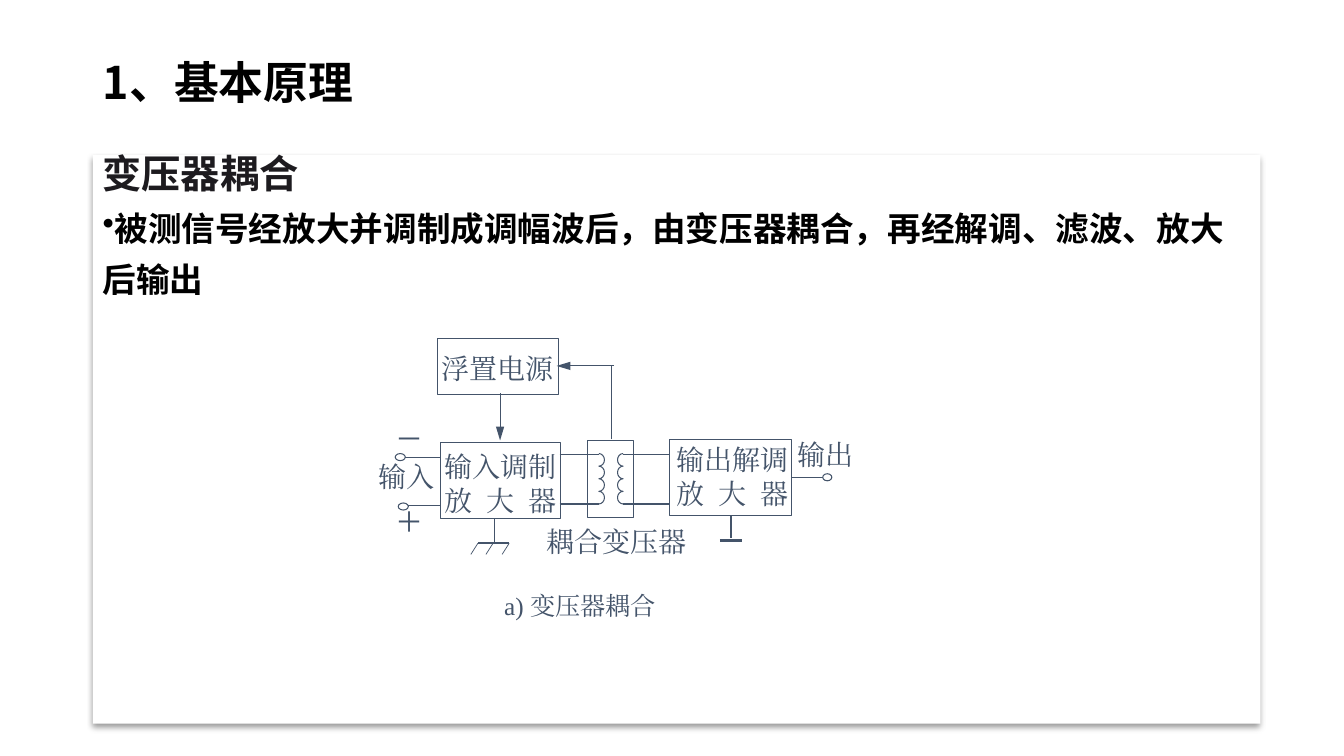
import math
from dataclasses import dataclass

from lxml import etree
from pptx import Presentation
from pptx import util as u
from pptx.dml.color import RGBColor
from pptx.enum import shapes, text
from pptx.oxml import ns

PX = 9144  # EMU in one px, 100 px to the inch


@dataclass(frozen=True)
class Theme:
    black: str = "000000"
    heading: str = "1D1B1F"
    diagram: str = "44546A"
    panel: str = "FFFFFF"
    sans: str = "Noto Sans CJK SC"
    serif: str = "Times New Roman"
    title_size: int = 32
    heading_size: int = 28
    body_size: int = 24
    label_size: int = 20
    caption_size: int = 18
    thin: float = 0.5
    line: float = 0.75


def px(*lengths):
    return [u.Emu(round(length * PX)) for length in lengths]


def add_xml(parent, tag, **attributes):
    return etree.SubElement(parent, ns.qn(tag), attributes)


class SlideBuilder:
    def __init__(self, slide, theme):
        self.slide = slide
        self.theme = theme

    def format_run(self, paragraph, size, color, font, bold=False, spacing=0):
        for run in paragraph.runs:
            run.font.size = u.Pt(size)
            run.font.bold = bold
            run.font.color.rgb = RGBColor.from_string(color)
            run.font.name = font
            properties = run.font._element
            add_xml(properties, "a:ea", typeface=font)
            if spacing:
                properties.set("spc", str(round(spacing * 100)))

    def outline(self, shape, width=None):
        shape.line.color.rgb = RGBColor.from_string(self.theme.diagram)
        shape.line.width = u.Pt(width or self.theme.line)

    def title(self, box, wording):
        shape = self.slide.shapes.title
        shape.left, shape.top, shape.width, shape.height = px(*box)
        frame = shape.text_frame
        frame.text = wording
        frame.auto_size = text.MSO_AUTO_SIZE.NONE
        frame.vertical_anchor = text.MSO_ANCHOR.MIDDLE
        paragraph = frame.paragraphs[0]
        paragraph.alignment = text.PP_ALIGN.LEFT
        paragraph.line_spacing = 0.9
        self.format_run(paragraph, self.theme.title_size, self.theme.black,
                        self.theme.sans, bold=True)

    def panel(self, box):
        shape = self.slide.shapes.add_shape(shapes.MSO_SHAPE.RECTANGLE, *px(*box))
        shape.fill.solid()
        shape.fill.fore_color.rgb = RGBColor.from_string(self.theme.panel)
        shape.line.fill.background()
        effects = add_xml(shape._element.spPr, "a:effectLst")
        shadow = add_xml(effects, "a:outerShdw", blurRad=str(u.Pt(4)), dist=str(u.Pt(3)),
                         dir="5400000", algn="t", rotWithShape="0")
        color = add_xml(shadow, "a:srgbClr", val=self.theme.black)
        add_xml(color, "a:alpha", val="40000")

    def body(self, box, heading, bullet):
        frame = self.slide.shapes.add_textbox(*px(*box)).text_frame
        frame.word_wrap = True
        frame.text = f"{heading}\n{bullet}"
        first, second = frame.paragraphs
        first.line_spacing = second.line_spacing = 1.27
        self.format_run(first, self.theme.heading_size, self.theme.heading,
                        self.theme.sans, bold=True)
        self.format_run(second, self.theme.body_size, self.theme.black,
                        self.theme.sans, bold=True)
        properties = second._p.get_or_add_pPr()
        properties.set("marL", "0")
        properties.set("indent", "0")
        add_xml(properties, "a:buChar", char="•")

    def label(self, box, *lines, size=None, font=None, last_spacing=0):
        frame = self.slide.shapes.add_textbox(*px(*box)).text_frame
        frame.word_wrap = True
        frame.margin_left = frame.margin_right = frame.margin_top = frame.margin_bottom = 0
        frame.text = "\n".join(lines)
        for paragraph in frame.paragraphs:
            paragraph.alignment = text.PP_ALIGN.JUSTIFY
            spacing = last_spacing if paragraph.text == lines[-1] else 0
            self.format_run(paragraph, size or self.theme.label_size, self.theme.diagram,
                            font or self.theme.serif, spacing=spacing)

    def outlined(self, kind, box):
        shape = self.slide.shapes.add_shape(kind, *px(*box))
        shape.shadow.inherit = False
        shape.fill.background()
        self.outline(shape)

    def line(self, *ends, width=None, arrow=False):
        connector = self.slide.shapes.add_connector(
            shapes.MSO_CONNECTOR.STRAIGHT, *px(*ends))
        self.outline(connector, width)
        if arrow:
            add_xml(connector.line._get_or_add_ln(), "a:tailEnd",
                    type="triangle", w="med", len="lg")
        add_xml(connector._element.spPr, "a:effectLst")

    def coil(self, left, top, depth, turns=4, pitch=12.5, steps=8):
        points = []
        for turn in range(turns):
            for step in range(steps + 1):
                angle = math.pi * step / steps
                points.append(px(left + depth * math.sin(angle),
                                 top + pitch * (turn + (1 - math.cos(angle)) / 2)))
        builder = self.slide.shapes.build_freeform(*points[0])
        builder.add_line_segments(points[1:], close=False)
        shape = builder.convert_to_shape()
        shape.shadow.inherit = False
        shape.fill.background()
        self.outline(shape)


def main():
    theme = Theme()
    presentation = Presentation()
    presentation.slide_width, presentation.slide_height = px(1333, 750)
    slide = presentation.slides.add_slide(presentation.slide_layouts[5])
    builder = SlideBuilder(slide, theme)

    # Title and text
    builder.panel((92, 154, 1158, 564))
    builder.title((92, 52, 1150, 65), "1、基本原理")
    builder.body((92, 131, 1150, 544), "变压器耦合",
                 "被测信号经放大并调制成调幅波后，由变压器耦合，再经解调、滤波、放大后输出")

    # Blocks: floating supply, modulator, transformer, demodulator
    for box in ((434, 336, 120, 55), (437, 439, 119, 75),
                (583, 437, 45, 76), (664, 436, 121, 75)):
        builder.outlined(shapes.MSO_SHAPE.RECTANGLE, box)

    # Input and output terminals
    for box in ((392, 450, 10, 7), (395, 499, 10, 7), (816, 470, 9, 7)):
        builder.outlined(shapes.MSO_SHAPE.OVAL, box)

    # Wires
    for ends in ((402, 454, 437, 454), (405, 502, 437, 502), (785, 474, 816, 474),
                 (607, 436, 607, 363), (490, 515, 490, 539), (725, 512, 725, 534)):
        builder.line(*ends)
    builder.line(496, 390, 496, 437, arrow=True)
    builder.line(609, 363, 552, 363, arrow=True)

    # Transformer windings and their leads
    for y in (451, 500):
        builder.line(555, y, 594, y)
        builder.line(618, y, 664, y)
    builder.coil(594, 450, 5.5)
    builder.coil(618, 450, -5.5)

    # Chassis ground and output ground
    builder.line(474, 539, 505, 539, width=1.5)
    for x in (474, 489, 505):
        builder.line(x, 539, x - 7, 550, width=theme.thin)
    builder.line(714, 536, 736, 536, width=2.25)

    # Labels
    builder.label((438, 349, 133, 32), "浮置电源")
    builder.label((441, 446, 116, 71), "输入调制", "放 大 器", last_spacing=2.5)
    builder.label((671, 439, 113, 55), "输出解调", "放 大 器", last_spacing=2.5)
    builder.label((542, 520, 150, 36), "耦合变压器")
    builder.label((791, 434, 60, 31), "输出")
    builder.label((375, 456, 57, 30), "输入")
    builder.label((392, 418, 30, 19), "－", font=theme.sans)
    builder.label((392, 501, 30, 27), "＋", font=theme.sans)
    builder.label((500, 586, 212, 33), "a) 变压器耦合", size=theme.caption_size)

    presentation.save("out.pptx")


if __name__ == "__main__":
    main()
